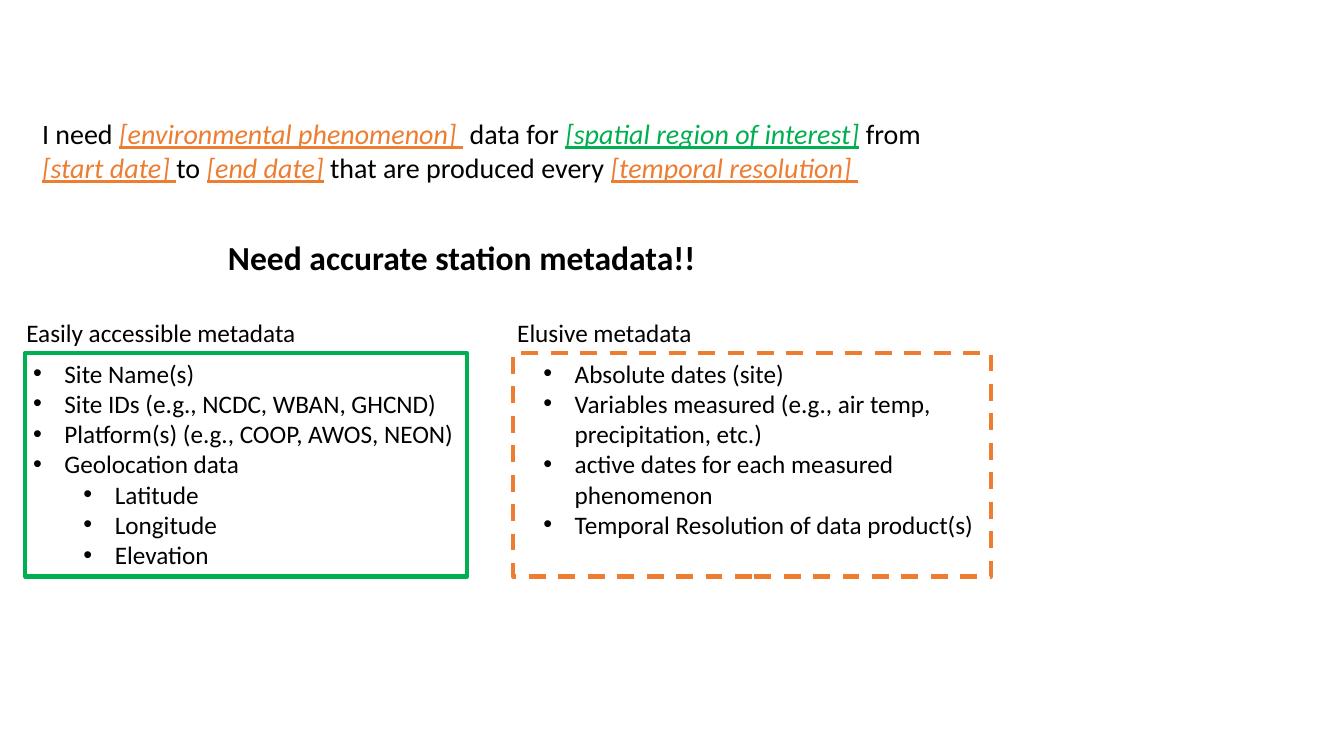
from lxml import etree
from pptx import Presentation
from pptx.dml.color import RGBColor
from pptx.enum.dml import MSO_LINE
from pptx.enum.shapes import MSO_SHAPE
from pptx.enum.text import MSO_ANCHOR, MSO_AUTO_SIZE, PP_ALIGN
from pptx.oxml.ns import qn
from pptx.util import Cm, Pt

RECTANGLE = MSO_SHAPE.RECTANGLE
DASH, SOLID = MSO_LINE.DASH, MSO_LINE.SOLID
TOP, LEFT, NO_AUTOFIT = MSO_ANCHOR.TOP, PP_ALIGN.LEFT, MSO_AUTO_SIZE.NONE

FONT = "Calibri"
BLACK, GREEN, ORANGE = "000000", "00B050", "ED7D31"
COMPARISON_LAYOUT = 4
LABEL_TOP, LABEL_HEIGHT = 7.87, 1.02
PANEL_TOP, PANEL_HEIGHT = 8.89, 5.64
INDENT, LEVEL_STEP = 0.79, 1.27

REQUEST = [
    ("I need ", BLACK),
    ("[environmental phenomenon] ", ORANGE),
    (" data for ", BLACK),
    ("[spatial region of interest]", GREEN),
    (" from ", BLACK),
    ("[start date] ", ORANGE),
    ("to ", BLACK),
    ("[end date]", ORANGE),
    (" that are produced every ", BLACK),
    ("[temporal resolution] ", ORANGE),
]
ACCESSIBLE = [
    ("Site Name(s)", 0),
    ("Site IDs (e.g., NCDC, WBAN, GHCND)", 0),
    ("Platform(s) (e.g., COOP, AWOS, NEON)", 0),
    ("Geolocation data", 0),
    ("Latitude", 1),
    ("Longitude", 1),
    ("Elevation", 1),
]
ELUSIVE = [
    ("Absolute dates (site)", 0),
    ("Variables measured (e.g., air temp, precipitation, etc.)", 0),
    ("active dates for each measured phenomenon", 0),
    ("Temporal Resolution of data product(s)", 0),
]


def color(hex_string):
    """Return the colour for a hex string."""
    return RGBColor.from_string(hex_string)


def place(shape, left, top, width, height):
    """Move a text shape and return its wrapped, top-anchored frame."""
    shape.left, shape.top = Cm(left), Cm(top)
    shape.width, shape.height = Cm(width), Cm(height)
    frame = shape.text_frame
    frame.word_wrap = True
    frame.auto_size = NO_AUTOFIT
    frame.vertical_anchor = TOP
    return frame


def format_paragraph(paragraph, size, bold=False):
    """Set the font, alignment and spacing of a paragraph."""
    paragraph.alignment = LEFT
    paragraph.space_before = Pt(0)
    font = paragraph.font
    font.name, font.size, font.bold = FONT, Pt(size), bold
    font.color.rgb = color(BLACK)


def add_bullet(paragraph, level):
    """Give a paragraph a round bullet with a hanging indent."""
    paragraph.level = level
    properties = paragraph._p.get_or_add_pPr()
    properties.set("marL", str(Cm(INDENT + level * LEVEL_STEP)))
    properties.set("indent", str(-Cm(INDENT)))
    etree.SubElement(properties, qn("a:buFont"), typeface="Arial")
    etree.SubElement(properties, qn("a:buChar"), char="•")


def fill_line(placeholder, text, box, size, bold=False):
    """Write a single line of text into a placeholder."""
    frame = place(placeholder, *box)
    frame.text = text
    format_paragraph(frame.paragraphs[0], size, bold)


def fill_list(placeholder, items, box):
    """Write a bulleted list into a placeholder."""
    frame = place(placeholder, *box)
    frame.text = "\n".join(text for text, _ in items)
    for paragraph, (_, level) in zip(frame.paragraphs, items):
        add_bullet(paragraph, level)
        format_paragraph(paragraph, 18)


def add_frame(slide, left, width, line_color, dash):
    """Draw the outline around a metadata list."""
    shape = slide.shapes.add_shape(
        RECTANGLE, Cm(left), Cm(PANEL_TOP), Cm(width), Cm(PANEL_HEIGHT))
    shape.shadow.inherit = False
    shape.fill.background()
    shape.line.color.rgb = color(line_color)
    shape.line.width = Pt(3)
    shape.line.dash_style = dash


def add_request(slide, parts, box):
    """Add the data request with its blanks underlined in colour."""
    frame = place(slide.shapes.add_textbox(0, 0, 0, 0), *box)
    paragraph = frame.paragraphs[0]
    format_paragraph(paragraph, 20)
    for text, text_color in parts:
        run = paragraph.add_run()
        run.text = text
        if text_color != BLACK:
            run.font.color.rgb = color(text_color)
            run.font.italic = run.font.underline = True


def main():
    """Build the station metadata slide."""
    presentation = Presentation()
    presentation.slide_width, presentation.slide_height = Cm(33.87), Cm(19.05)
    slide = presentation.slides.add_slide(
        presentation.slide_layouts[COMPARISON_LAYOUT])
    title, left_label, left_list, right_label, right_list = slide.placeholders

    add_request(slide, REQUEST, (0.81, 2.82, 23.83, 2.74))
    fill_line(title, "Need accurate station metadata!!",
              (5.49, 5.84, 14.2, 2.06), 24, bold=True)
    fill_line(left_label, "Easily accessible metadata",
              (0.41, LABEL_TOP, 8.76, LABEL_HEIGHT), 18)
    fill_line(right_label, "Elusive metadata",
              (12.78, LABEL_TOP, 4.95, LABEL_HEIGHT), 18)
    fill_list(left_list, ACCESSIBLE, (0.58, PANEL_TOP, 12.7, PANEL_HEIGHT))
    fill_list(right_list, ELUSIVE, (13.44, PANEL_TOP, 11.61, 4.88))
    add_frame(slide, 0.64, 11.13, GREEN, SOLID)
    add_frame(slide, 12.93, 12.04, ORANGE, DASH)

    presentation.save("out.pptx")


main()
